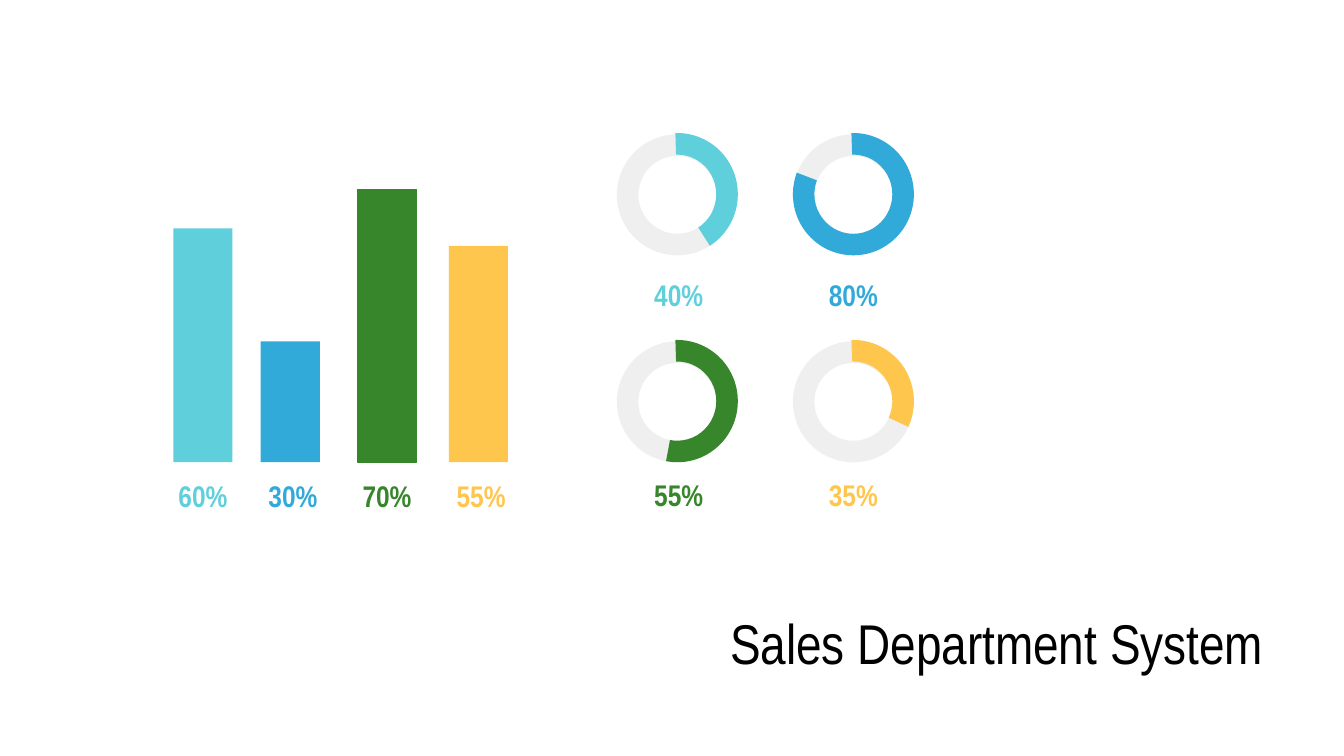
from pptx import Presentation
from pptx import util as u
from pptx.dml.color import RGBColor
from pptx.enum import shapes, text

TURQUOISE = RGBColor(0x5F, 0xD0, 0xDB)
BLUE = RGBColor(0x32, 0xAA, 0xD9)
GREEN = RGBColor(0x38, 0x86, 0x2B)
YELLOW = RGBColor(0xFF, 0xC6, 0x4E)
TRACK = RGBColor(0xEF, 0xEF, 0xEF)
BLACK = RGBColor(0, 0, 0)

FONT = "Arial Narrow"
SLIDE_WIDTH = 10
SLIDE_HEIGHT = SLIDE_WIDTH * 9 / 16
BASELINE = 3.44
BAR_WIDTH = 0.44
LABEL_WIDTH = 0.64
RING_SIZE = 0.9
RING_THICKNESS = 0.178
ARC_START = 160.9

# left, height, label left, label, colour, outlined
BARS = [
    (1.29, 1.74, 1.19, "60%", TURQUOISE, False),
    (1.94, 0.9, 1.86, "30%", BLUE, False),
    (2.66, 2.03, 2.56, "70%", GREEN, True),
    (3.34, 1.61, 3.26, "55%", YELLOW, False),
]
RING_COLUMNS = [(4.59, 4.73), (5.9, 6.03)]
RING_ROWS = [(1, 2.01), (2.54, 3.5)]
RINGS = [
    ("40%", 34.69, TURQUOISE),
    ("80%", 120.49, BLUE),
    ("55%", 60.4, GREEN),
    ("35%", 15.07, YELLOW),
]


def add_filled(slide, kind, left, top, width, height, color):
    """Add a preset shape with a plain fill and no outline."""
    shape = slide.shapes.add_shape(
        kind, u.Inches(left), u.Inches(top), u.Inches(width), u.Inches(height))
    shape.shadow.inherit = False
    shape.fill.solid()
    shape.fill.fore_color.rgb = color
    shape.line.fill.background()
    return shape


def add_text(slide, left, top, width, height, words, size, color, align,
             bold=False, spacing=1.0):
    """Add a one-line text box, centred vertically."""
    box = slide.shapes.add_textbox(
        u.Inches(left), u.Inches(top), u.Inches(width), u.Inches(height))
    frame = box.text_frame
    frame.word_wrap = True
    frame.vertical_anchor = text.MSO_ANCHOR.MIDDLE
    frame.margin_left = frame.margin_right = u.Inches(0.1)
    frame.margin_top = frame.margin_bottom = u.Inches(0.1)
    paragraph = frame.paragraphs[0]
    paragraph.alignment = align
    paragraph.line_spacing = spacing
    run = paragraph.add_run()
    run.text = words
    run.font.name = FONT
    run.font.size = u.Pt(size)
    run.font.bold = bold
    run.font.color.rgb = color


def add_percentage(slide, left, top, height, words, color):
    """Add a bold percentage in the colour of its bar or ring."""
    add_text(slide, left, top, LABEL_WIDTH, height, words, 16, color,
             text.PP_ALIGN.CENTER, bold=True, spacing=1.15)


def add_bar(slide, left, height, label_left, label, color, outlined):
    """Add a bar standing on the baseline, with its percentage below."""
    bar = add_filled(slide, shapes.MSO_SHAPE.RECTANGLE, left,
                     BASELINE - height, BAR_WIDTH, height, color)
    if outlined:
        bar.line.color.rgb = color
        bar.line.width = u.Pt(0.75)
    add_percentage(slide, label_left, 3.52, 0.3, label, color)


def add_ring(slide, column, row, label, arc_end, color):
    """Add a progress ring on a grey track, with its percentage below."""
    left, label_left = column
    top, label_top = row
    track = add_filled(slide, shapes.MSO_SHAPE.DONUT, left, top,
                       RING_SIZE, RING_SIZE, TRACK)
    track.adjustments[0] = RING_THICKNESS
    arc = add_filled(slide, shapes.MSO_SHAPE.BLOCK_ARC, left, top - 0.01,
                     RING_SIZE, RING_SIZE + 0.01, color)
    for index, value in enumerate((ARC_START, arc_end, RING_THICKNESS)):
        arc.adjustments[index] = value
    add_percentage(slide, label_left, label_top, 0.32, label, color)


def main():
    """Build the sales slide and save it."""
    deck = Presentation()
    deck.slide_width = u.Inches(SLIDE_WIDTH)
    deck.slide_height = u.Inches(SLIDE_HEIGHT)
    slide = deck.slides.add_slide(deck.slide_layouts[6])

    add_text(slide, 0.5, 4.51, 9, 0.53, "Sales Department System", 30, BLACK,
             text.PP_ALIGN.RIGHT)
    for bar in BARS:
        add_bar(slide, *bar)
    for index, ring in enumerate(RINGS):
        row, column = divmod(index, len(RING_COLUMNS))
        add_ring(slide, RING_COLUMNS[column], RING_ROWS[row], *ring)

    deck.save("out.pptx")


if __name__ == "__main__":
    main()
